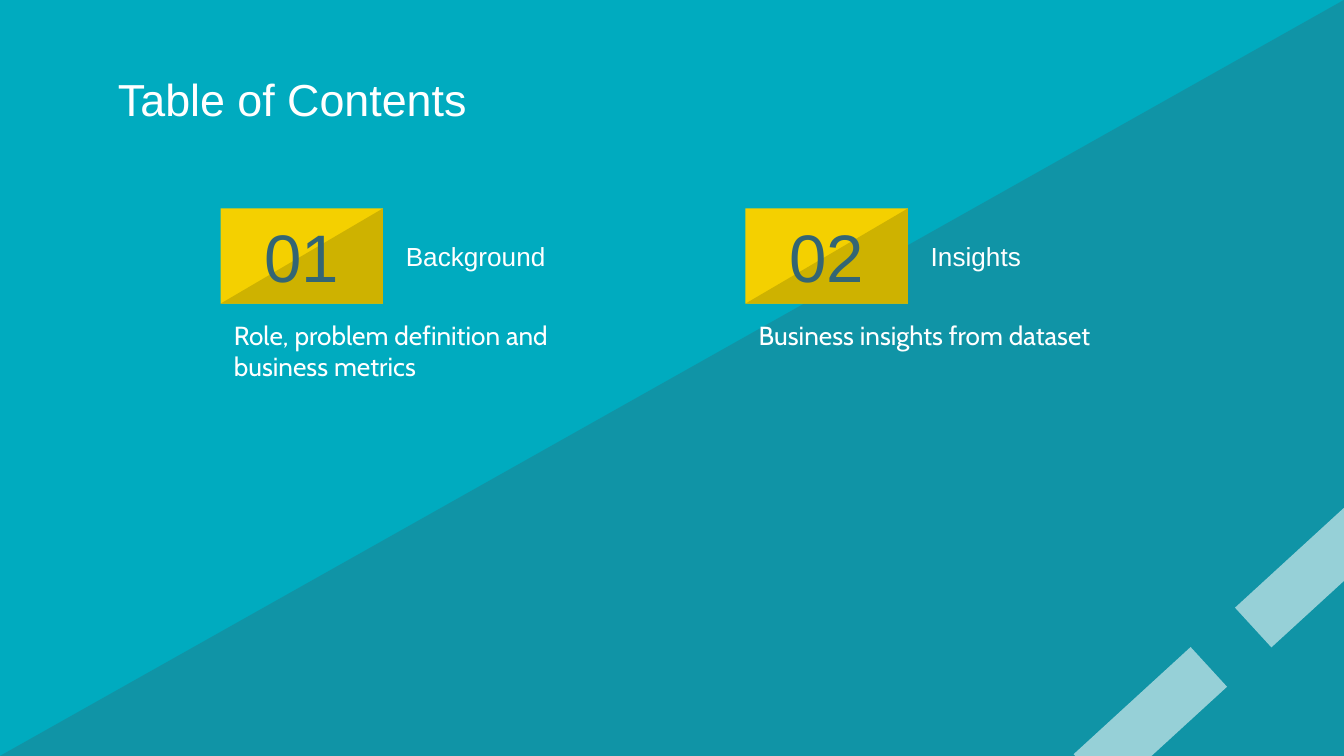
from lxml import etree
from pptx import Presentation
from pptx.dml.color import RGBColor
from pptx.enum.shapes import MSO_SHAPE as Shape
from pptx.enum.text import MSO_ANCHOR as Anchor, PP_ALIGN as Align
from pptx.oxml.ns import qn
from pptx.util import Cm, Pt

# Content
HEADING = "Table of Contents"
SECTIONS = [
    ("01", "Background", "Role, problem definition and business metrics"),
    ("02", "Insights", "Business insights from dataset"),
]

COLORS = {
    "background": "00ABBF",
    "navy": "336574",
    "white": "FFFFFF",
    "yellow": "F4D000",
    "dark yellow": "CEB200",
}

# Layout, in centimetres
SLIDE_W, SLIDE_H = 25.4, 14.29
SECTION_X, SECTION_STEP = 4.17, 9.92
BADGE_Y, BADGE_W, BADGE_H = 3.94, 3.07, 1.8
LABEL_GAP, LABEL_W = 0.18, 4.45
SUMMARY_Y, SUMMARY_W = 5.79, 7.19
STRIPES = [(20.24, 13.11), (23.29, 10.34)]
STRIPE_W, STRIPE_H, STRIPE_ANGLE = 3.0, 1.02, 317.5
INSET = 0.25


def rgb(color):
    return RGBColor.from_string(COLORS[color])


def add_block(kind, x, y, w, h, color, opacity=100, flip=False):
    block = slide.shapes.add_shape(kind, Cm(x), Cm(y), Cm(w), Cm(h))
    block.shadow.inherit = False
    block.line.fill.background()
    block.fill.solid()
    block.fill.fore_color.rgb = rgb(color)
    properties = block._element.spPr
    if opacity < 100:
        fill_color = properties.find(".//" + qn("a:srgbClr"))
        etree.SubElement(fill_color, qn("a:alpha")).set("val", str(opacity * 1000))
    if flip:
        properties.find(qn("a:xfrm")).set("flipH", "1")
    return block


def add_text(text, x, y, w, h, size, font="Arial", color="white",
             anchor=Anchor.MIDDLE, align=Align.LEFT):
    frame = slide.shapes.add_textbox(Cm(x), Cm(y), Cm(w), Cm(h)).text_frame
    frame.word_wrap = True
    frame.vertical_anchor = anchor
    frame.margin_left = frame.margin_right = Cm(INSET)
    frame.margin_top = frame.margin_bottom = Cm(INSET)
    frame.text = text
    paragraph = frame.paragraphs[0]
    paragraph.alignment = align
    style = paragraph.runs[0].font
    style.name, style.size = font, Pt(size)
    style.color.rgb = rgb(color)


deck = Presentation()
deck.slide_width, deck.slide_height = Cm(SLIDE_W), Cm(SLIDE_H)
slide = deck.slides.add_slide(deck.slide_layouts[6])

# Backdrop: shaded lower half and corner stripes
slide.background.fill.solid()
slide.background.fill.fore_color.rgb = rgb("background")
add_block(Shape.RIGHT_TRIANGLE, 0, 0, SLIDE_W, SLIDE_H, "navy", 32, flip=True)
for x, y in STRIPES:
    stripe = add_block(Shape.RECTANGLE, x, y, STRIPE_W, STRIPE_H, "white", 56)
    stripe.rotation = STRIPE_ANGLE

# Heading
add_text(HEADING, 1.98, 1.07, 21.44, 1.6, 24)

# Sections: two-tone number badge, label beside it, summary below
for i, (number, label, summary) in enumerate(SECTIONS):
    x = SECTION_X + i * SECTION_STEP
    badge = (x, BADGE_Y, BADGE_W, BADGE_H)
    add_block(Shape.RECTANGLE, *badge, "yellow")
    add_block(Shape.RIGHT_TRIANGLE, *badge, "dark yellow", flip=True)
    add_text(number, *badge, 36, color="navy", align=Align.CENTER)
    add_text(label, x + BADGE_W + LABEL_GAP, BADGE_Y, LABEL_W, BADGE_H, 14)
    add_text(summary, x, SUMMARY_Y, SUMMARY_W, BADGE_H, 14, "Cabin",
             anchor=Anchor.TOP)

deck.save("out.pptx")
